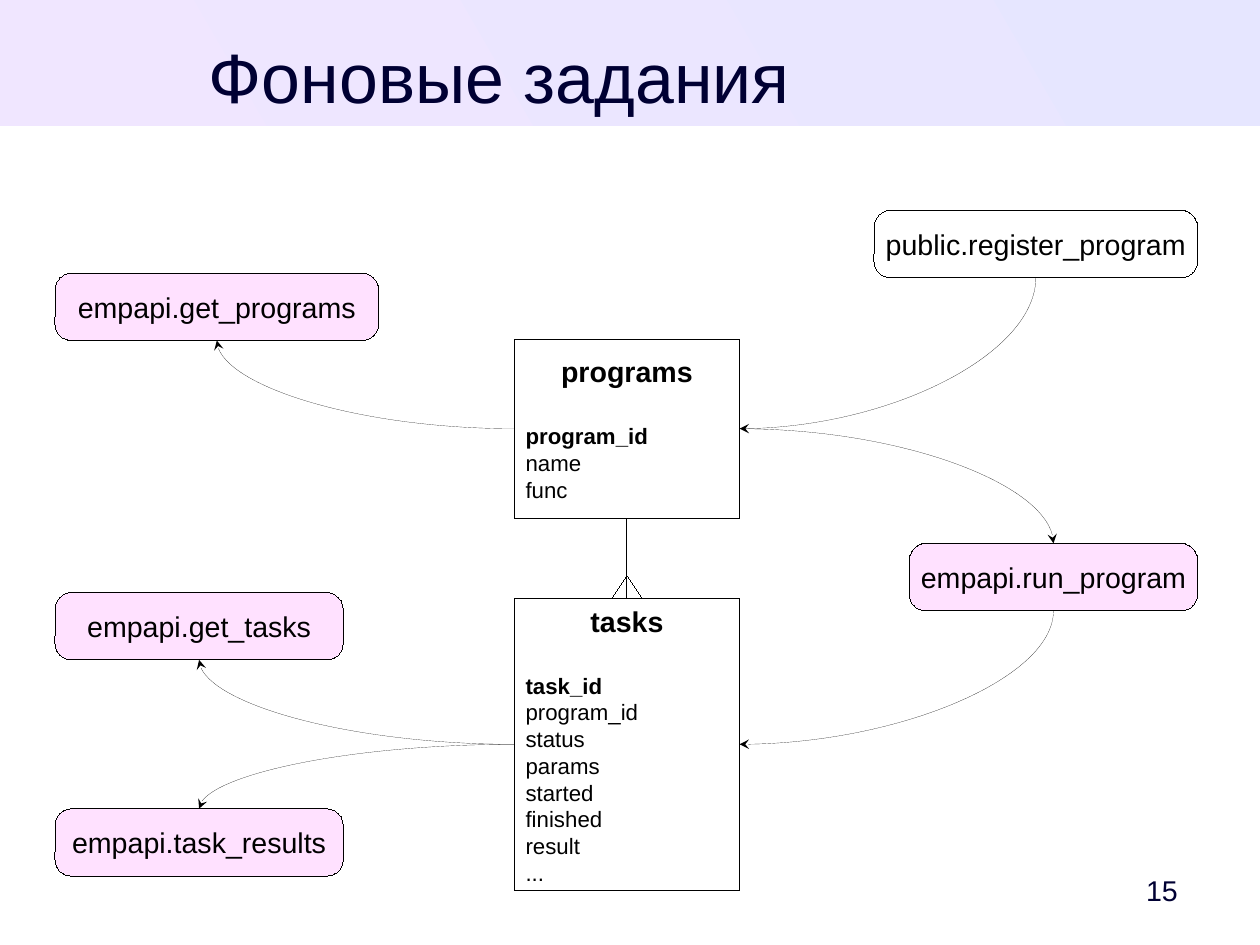
from lxml.etree import SubElement
from pptx import Presentation
from pptx.dml.color import RGBColor
from pptx.enum.shapes import MSO_CONNECTOR as Link, MSO_SHAPE as Shape
from pptx.enum.text import MSO_ANCHOR as Anchor, PP_ALIGN as Align
from pptx.oxml.ns import qn
from pptx.util import Cm, Inches, Pt

WIDTH, HEIGHT = Cm(28), Cm(21)
HAIRLINE = Pt(0.01)
COLORS = {
    "ink": "000000",
    "heading": "000033",
    "paper": "FFFFFF",
    "api": "FFE1FF",
    "band_right": "E6E6FF",
    "band_left": "F0E6FF",
}
TOP, LEFT, BOTTOM, RIGHT = range(4)
TABLE_LEFT, TABLE_WIDTH = 40.82, 17.88
WIDE, NARROW, FUNCTION_HEIGHT = 25.68, 22.87, 7.13
LEFT_MARGIN, RIGHT_MARGIN = 4.37, 95.05


def across(share):
    return round(WIDTH * share / 100)


def down(share):
    return round(HEIGHT * share / 100)


def area(left, top, width, height):
    return across(left), down(top), across(width), down(height)


def color(name):
    return RGBColor.from_string(COLORS[name])


def style_text(para, size, ink="ink", bold=False, align=Align.CENTER):
    para.alignment = align
    para.font.name = "Arial"
    para.font.size = Pt(size)
    para.font.bold = bold
    para.font.color.rgb = color(ink)


def draw_line(line):
    line.color.rgb = color("ink")
    line.width = HAIRLINE


def add_band(page):
    band = page.shapes.add_shape(Shape.RECTANGLE, *area(0, 0, 100, 13.3))
    band.shadow.inherit = False
    band.line.fill.background()
    band.fill.gradient()
    band.fill.gradient_angle = 210
    for stop, name in zip(band.fill.gradient_stops, ("band_right", "band_left")):
        stop.color.rgb = color(name)


def add_label(page, place, text, size, align, anchor):
    frame = page.shapes.add_textbox(*area(*place)).text_frame
    frame.word_wrap = True
    frame.vertical_anchor = anchor
    frame.margin_left = frame.margin_right = 0
    frame.margin_top = frame.margin_bottom = 0
    frame.text = text
    style_text(frame.paragraphs[0], size, "heading", align=align)


def add_box(page, kind, place, fill):
    box = page.shapes.add_shape(kind, *area(*place))
    box.shadow.inherit = False
    box.fill.solid()
    box.fill.fore_color.rgb = color(fill)
    draw_line(box.line)
    return box


def add_function(page, name, left, top, width, fill="api"):
    box = add_box(page, Shape.ROUNDED_RECTANGLE,
                  (left, top, width, FUNCTION_HEIGHT), fill)
    box.adjustments[0] = 0.245
    frame = box.text_frame
    frame.word_wrap = False
    frame.vertical_anchor = Anchor.MIDDLE
    frame.text = name
    style_text(frame.paragraphs[0], 18)
    return box


def add_entity(page, name, fields, top, height, inset):
    box = add_box(page, Shape.RECTANGLE,
                  (TABLE_LEFT, top, TABLE_WIDTH, height), "paper")
    frame = box.text_frame
    frame.word_wrap = True
    frame.vertical_anchor = Anchor.TOP
    frame.margin_top = Inches(inset)
    frame.text = "\n".join([name, *fields])
    heading, key, *others = frame.paragraphs
    style_text(heading, 18, bold=True)
    style_text(key, 14, bold=True, align=Align.LEFT)
    key.space_before = Pt(21.5)
    for para in others:
        style_text(para, 14, align=Align.LEFT)
    return box


def add_line(page, kind, start=(0, 0), end=(0, 0)):
    line = page.shapes.add_connector(kind, *start, *end)
    draw_line(line.line)
    SubElement(line._element.spPr, qn("a:effectLst"))
    return line


def add_curve(page, entity, entity_side, function, function_side, arrow):
    curve = add_line(page, Link.CURVE)
    curve.begin_connect(entity, entity_side)
    curve.end_connect(function, function_side)
    properties = curve._element.spPr
    properties.find(qn("a:prstGeom")).set("prst", "curvedConnector2")
    SubElement(properties.find(qn("a:ln")), qn(arrow), type="stealth")


def add_relation(page, parent, child):
    stem = add_line(page, Link.STRAIGHT)
    stem.begin_connect(parent, BOTTOM)
    stem.end_connect(child, TOP)
    middle = child.left + child.width // 2
    for spread in (-1.2, 1.2):
        add_line(page, Link.STRAIGHT, (middle, child.top - down(2.4)),
                 (middle + across(spread), child.top))


def main():
    deck = Presentation()
    deck.slide_width, deck.slide_height = WIDTH, HEIGHT
    page = deck.slides.add_slide(deck.slide_layouts[6])

    add_band(page)
    add_label(page, (87.85, 91.35, 5.63, 5.68), "15", 18,
              Align.RIGHT, Anchor.MIDDLE)
    add_label(page, (4.26, 3.55, 70.78, 8.34), "Фоновые задания", 44,
              Align.CENTER, Anchor.TOP)

    programs = add_entity(page, "programs", ["program_id", "name", "func"],
                          35.91, 18.92, 0.13)
    tasks = add_entity(
        page, "tasks",
        ["task_id", "program_id", "status", "params", "started",
         "finished", "result", "..."],
        63.29, 30.96, 0.05)
    add_relation(page, programs, tasks)

    get_programs = add_function(page, "empapi.get_programs",
                                LEFT_MARGIN, 28.9, WIDE)
    get_tasks = add_function(page, "empapi.get_tasks",
                             LEFT_MARGIN, 62.7, NARROW)
    task_results = add_function(page, "empapi.task_results",
                                LEFT_MARGIN, 85.58, NARROW)
    run_program = add_function(page, "empapi.run_program",
                               RIGHT_MARGIN - NARROW, 57.5, NARROW)
    register = add_function(page, "public.register_program",
                            RIGHT_MARGIN - WIDE, 22.25, WIDE, "paper")

    for entity, entity_side, function, function_side, arrow in (
        (programs, LEFT, get_programs, BOTTOM, "a:tailEnd"),
        (tasks, LEFT, get_tasks, BOTTOM, "a:tailEnd"),
        (tasks, LEFT, task_results, TOP, "a:tailEnd"),
        (programs, RIGHT, run_program, TOP, "a:tailEnd"),
        (tasks, RIGHT, run_program, BOTTOM, "a:headEnd"),
        (programs, RIGHT, register, BOTTOM, "a:headEnd"),
    ):
        add_curve(page, entity, entity_side, function, function_side, arrow)

    deck.save("out.pptx")


if __name__ == "__main__":
    main()
